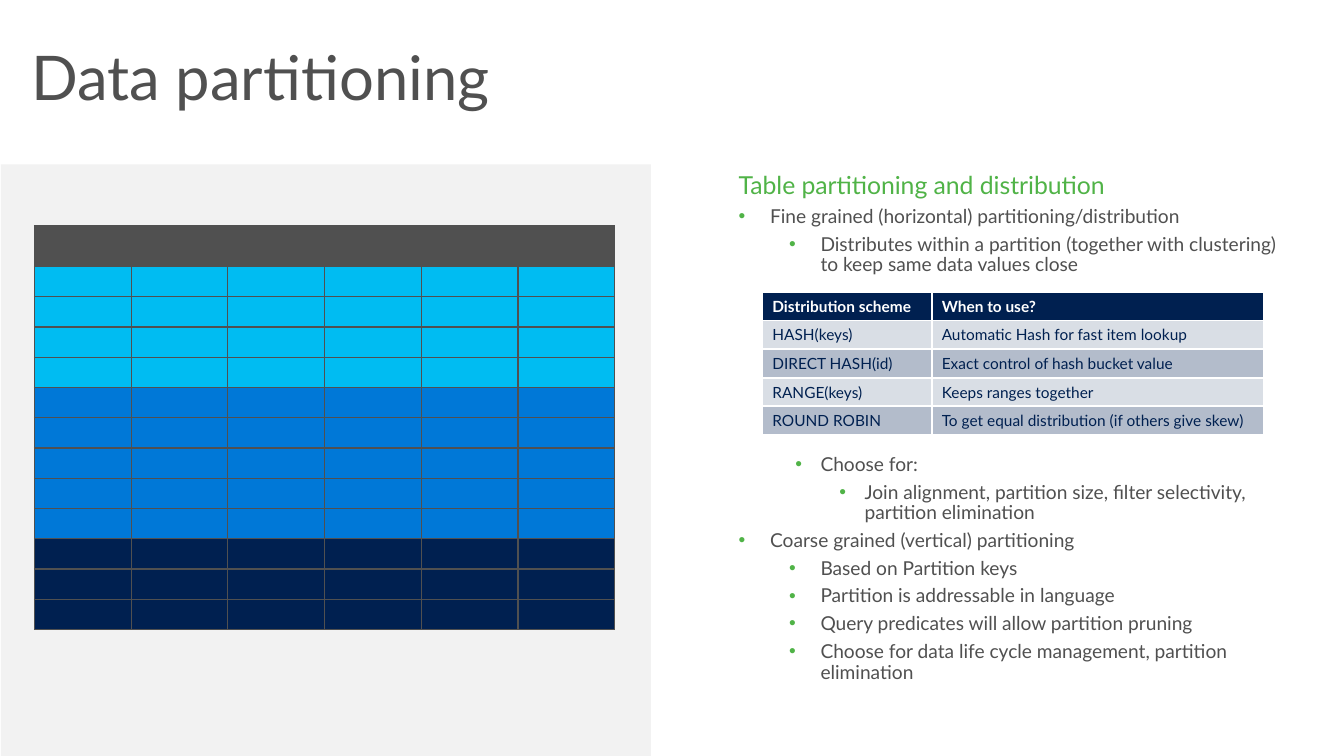
from lxml import etree
from pptx import Presentation
from pptx.dml.color import RGBColor
from pptx.enum import shapes, text
from pptx.oxml import ns
from pptx.util import Pt

FONT = "Lato"
GREY, GREEN, NAVY, WHITE = "505050", "50B347", "002050", "FFFFFF"
SKY, BLUE, PANEL = "00BCF2", "0078D7", "F2F2F2"

SCHEMES = [
    ("Distribution scheme", "When to use?"),
    ("HASH(keys)", "Automatic Hash for fast item lookup"),
    ("DIRECT HASH(id)", "Exact control of hash bucket value"),
    ("RANGE(keys)", "Keeps ranges together"),
    ("ROUND ROBIN", "To get equal distribution (if others give skew)"),
]
# Level, hanging indent, text
FINE = [
    (0, 0, "Table partitioning and distribution"),
    (1, 22.5, "Fine grained (horizontal) partitioning/distribution"),
    (2, 22.5, "Distributes within a partition (together with clustering) "
              "to keep same data values close"),
]
COARSE = [
    (2, 18, "Choose for:"),
    (3, 18, "Join alignment, partition size, filter selectivity, partition elimination"),
    (1, 22.5, "Coarse grained (vertical) partitioning"),
    (2, 22.5, "Based on Partition keys"),
    (2, 22.5, "Partition is addressable in language"),
    (2, 22.5, "Query predicates will allow partition pruning"),
    (2, 22.5, "Choose for data life cycle management, partition elimination"),
]
LEFT = {1: 22.5, 2: 58.5, 3: 90}


def rgb(code):
    return RGBColor.from_string(code)


def style(font, size, color, bold=False):
    font.name, font.size, font.bold = FONT, Pt(size), bold
    font.color.rgb = rgb(color)


def add(parent, tag, **attrs):
    return etree.SubElement(parent, ns.qn(tag), attrs)


def bullet(para, left, hang):
    props = para._p.get_or_add_pPr()
    props.set("marL", str(Pt(left)))
    props.set("indent", str(-Pt(hang)))
    add(add(props, "a:buClr"), "a:srgbClr", val=GREEN)
    add(props, "a:buFont", typeface="Arial")
    add(props, "a:buChar", char="•")


def border(cell, color, width):
    props = cell._tc.get_or_add_tcPr()
    for spot, side in enumerate("LRTB"):
        line = etree.Element(ns.qn("a:ln" + side), w=str(Pt(width)))
        add(add(line, "a:solidFill"), "a:srgbClr", val=color)
        props.insert(spot, line)


def paint(cell, fill, edge, width):
    cell.fill.solid()
    cell.fill.fore_color.rgb = rgb(fill)
    border(cell, edge, width)


def new_table(slide, box, widths, heights):
    frame = slide.shapes.add_table(len(heights), len(widths), *map(Pt, box))
    table = frame.table
    table.first_row = table.horz_banding = False
    for col, width in zip(table.columns, widths):
        col.width = Pt(width)
    for row, height in zip(table.rows, heights):
        row.height = Pt(height)
    return table


def title(slide, box):
    shape = slide.shapes.title
    shape.left, shape.top, shape.width, shape.height = map(Pt, box)
    frame = shape.text_frame
    frame.text = "Data partitioning"
    frame.vertical_anchor = text.MSO_ANCHOR.MIDDLE
    para = frame.paragraphs[0]
    para.alignment, para.line_spacing = text.PP_ALIGN.LEFT, 0.9
    style(para.runs[0].font, 44, GREY)


def grid(slide, box):
    """Grey panel with the partitioned rows inside it."""
    left, top, width, height = box
    panel = slide.shapes.add_shape(shapes.MSO_SHAPE.RECTANGLE, *map(Pt, box))
    panel.shadow.inherit = False
    panel.fill.solid()
    panel.fill.fore_color.rgb = rgb(PANEL)
    panel.line.fill.background()

    fills = [GREY] + [SKY] * 4 + [BLUE] * 5 + [NAVY] * 3
    heights = [29] + [21.6] * 12
    table = new_table(slide, (left + 24, top + 44, 414.6, sum(heights)),
                      [69.1] * 6, heights)
    for row, fill in zip(table.rows, fills):
        for cell in row.cells:
            paint(cell, fill, GREY, 1)
            # Small empty text keeps the row height
            add(cell.text_frame.paragraphs[0]._p, "a:endParaRPr", sz="800")


def outline(slide, box, items, inset):
    frame = slide.shapes.add_textbox(*map(Pt, box)).text_frame
    frame.word_wrap = True
    frame.margin_top = frame.margin_bottom = Pt(inset)
    frame.text = "\n".join(words for _, _, words in items)
    for spot, (para, (level, hang, _)) in enumerate(zip(frame.paragraphs, items)):
        para.level = level
        if level:
            bullet(para, LEFT[level], hang)
        para.line_spacing = 0.9
        para.space_before = Pt(5 if spot else 0)
        size, color = (13.7, GREY) if level else (17.7, GREEN)
        style(para.runs[0].font, size, color)


def schemes(slide, box):
    table = new_table(slide, box, [121, 237], [box[3] / len(SCHEMES)] * len(SCHEMES))
    for r, words in enumerate(SCHEMES):
        fill = NAVY if r == 0 else ("B3BCCB", "D9DEE5")[r % 2]
        for c, word in enumerate(words):
            cell = table.cell(r, c)
            cell.text_frame.text = word
            paint(cell, fill, WHITE, 1.5)
            style(cell.text_frame.paragraphs[0].runs[0].font, 11,
                  NAVY if r else WHITE, r == 0)


def notes(slide, box):
    """Right column: outline, scheme table, outline."""
    left, top, width, _ = box
    outline(slide, (left, top, width, 81.4), FINE, 3.6)
    schemes(slide, (left + 24, top + 88.3, 358, 101.5))
    outline(slide, (left, top + 196, width, 182), COARSE, 8.64)


def main():
    deck = Presentation()
    deck.slide_width, deck.slide_height = Pt(960), Pt(540)
    slide = deck.slides.add_slide(deck.slide_layouts[5])
    title(slide, (15, 24, 930, 67.5))
    grid(slide, (0.6, 117.4, 464.4, 422.6))
    notes(slide, (520.5, 120.2, 405.5, 378))
    deck.save("out.pptx")


if __name__ == "__main__":
    main()
